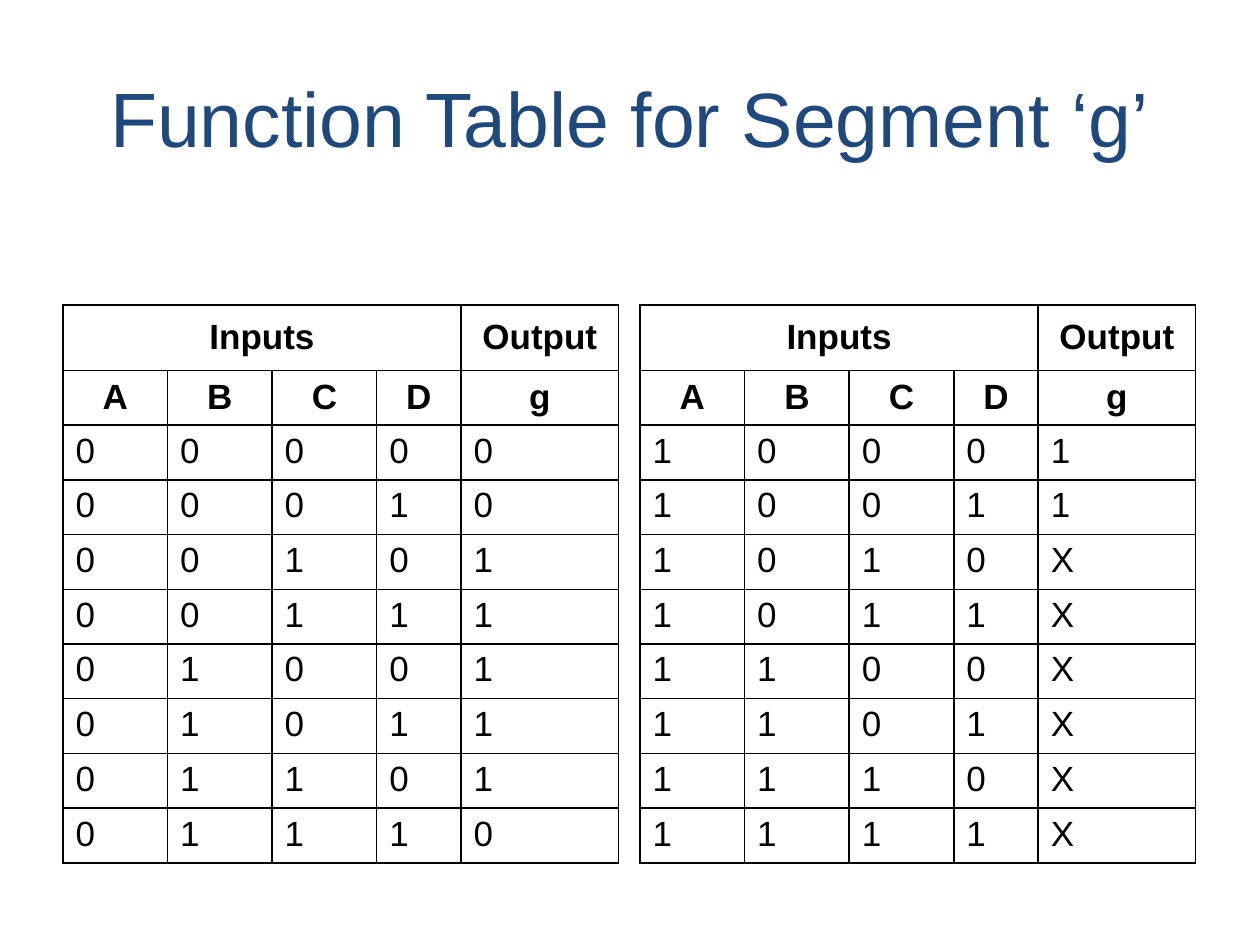
from lxml import etree
from pptx import Presentation
from pptx.dml.color import RGBColor
from pptx.enum.text import MSO_ANCHOR, PP_ALIGN
from pptx.oxml.ns import qn
from pptx.util import Inches, Pt

TITLE = "Function Table for Segment ‘g’"
GROUPS = ["Inputs", "", "", "", "Output"]
SIGNALS = ["A", "B", "C", "D", "g"]
# Each table: left edge, hanging indent, first input value, outputs in counting order
TABLES = [
    (0.5, 0.38, 0, "00111110"),
    (5.08, 0, 8, "11XXXXXX"),
]
COLUMN_WIDTHS = [0.83, 0.83, 0.83, 0.67, 1.25]
TABLE_TOP, TABLE_HEIGHT, GROUP_HEIGHT = 2.42, 4.43, 0.52
FONT, BLACK, BLUE = "Arial", "000000", "1F497D"


def add_text(para, text, size, color, bold=False):
    span = para.add_run()
    span.text = text
    span.font.name = FONT
    span.font.size = Pt(size)
    span.font.bold = bold
    span.font.color.rgb = RGBColor.from_string(color)


def set_borders(cell):
    """Draw a 1 pt black line on all four sides of the cell."""
    properties = cell._tc.get_or_add_tcPr()
    for position, side in enumerate(("lnL", "lnR", "lnT", "lnB")):
        line = etree.Element(qn(f"a:{side}"), w=str(Pt(1)))
        fill = etree.SubElement(line, qn("a:solidFill"))
        etree.SubElement(fill, qn("a:srgbClr"), val=BLACK)
        properties.insert(position, line)


def fill_cell(cell, text, header, indent):
    cell.fill.background()
    set_borders(cell)
    cell.vertical_anchor = MSO_ANCHOR.MIDDLE if header else MSO_ANCHOR.TOP
    para = cell.text_frame.paragraphs[0]
    para.alignment = PP_ALIGN.CENTER if header else PP_ALIGN.JUSTIFY
    if indent:
        properties = para._p.get_or_add_pPr()
        properties.set("marL", str(Inches(indent)))
        properties.set("indent", str(-Inches(indent)))
    if text:
        add_text(para, text, 20, BLACK, header)


def add_function_table(page, left, indent, first_value, outputs):
    truth_rows = [f"{value:04b}{output}" for value, output in enumerate(outputs, first_value)]
    rows = [GROUPS, SIGNALS, *truth_rows]
    table = page.shapes.add_table(
        len(rows), len(COLUMN_WIDTHS), Inches(left), Inches(TABLE_TOP),
        Inches(sum(COLUMN_WIDTHS)), Inches(TABLE_HEIGHT)).table
    table.first_row = table.horz_banding = False
    for column, width in zip(table.columns, COLUMN_WIDTHS):
        column.width = Inches(width)
    row_height = (TABLE_HEIGHT - GROUP_HEIGHT) / (len(rows) - 1)
    for r, texts in enumerate(rows):
        table.rows[r].height = Inches(row_height if r else GROUP_HEIGHT)
        for c, text in enumerate(texts):
            fill_cell(table.cell(r, c), text, r < 2, indent)
    table.cell(0, 0).merge(table.cell(0, 3))


def main():
    deck = Presentation()
    deck.slide_width, deck.slide_height = Inches(10), Inches(7.5)
    page = deck.slides.add_slide(deck.slide_layouts[5])

    title = page.shapes.title
    title.left, title.top = Inches(0.5), Inches(0.3)
    title.width, title.height = Inches(9), Inches(1.25)
    title.text_frame.vertical_anchor = MSO_ANCHOR.MIDDLE
    para = title.text_frame.paragraphs[0]
    para.alignment = PP_ALIGN.CENTER
    add_text(para, TITLE, 44, BLUE)

    for table in TABLES:
        add_function_table(page, *table)
    deck.save("out.pptx")


if __name__ == "__main__":
    main()
